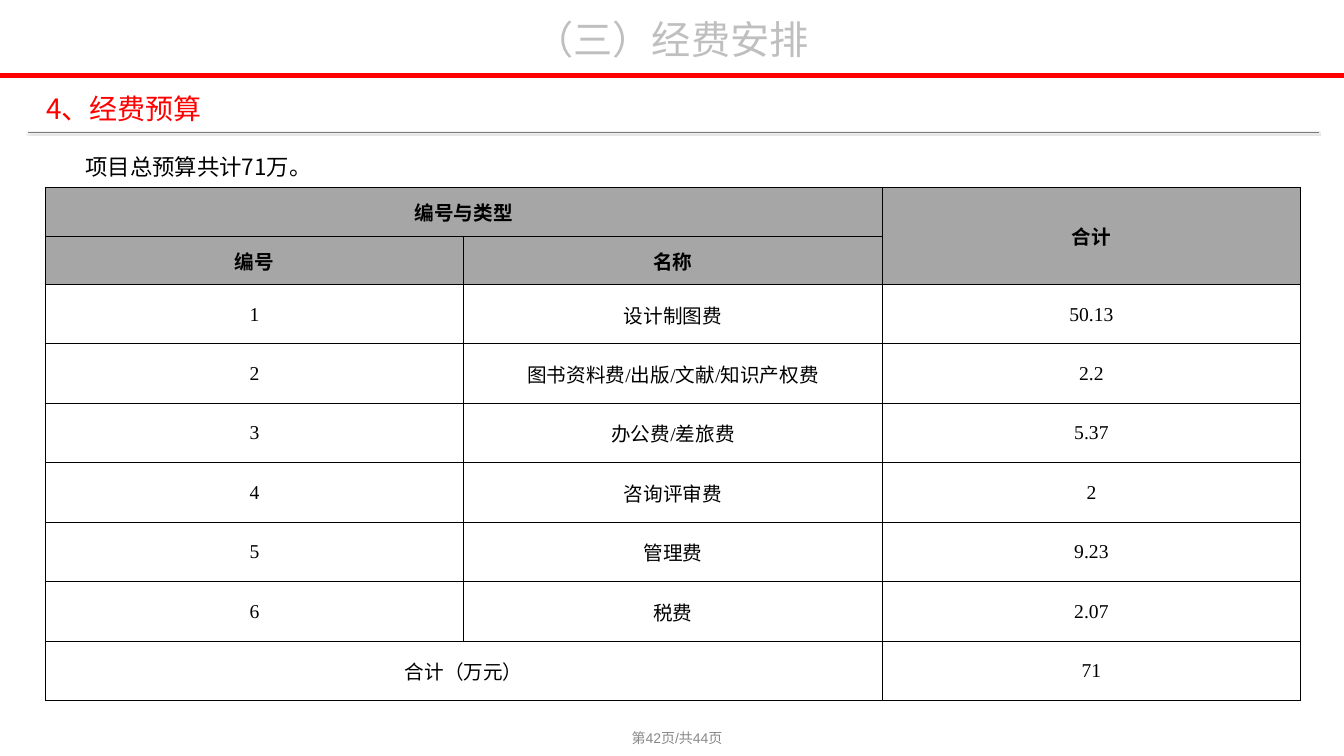
from lxml import etree
from pptx import Presentation
from pptx.dml.color import RGBColor
from pptx.enum.shapes import MSO_CONNECTOR
from pptx.enum.text import MSO_ANCHOR, PP_ALIGN
from pptx.oxml import parse_xml
from pptx.oxml.ns import nsdecls, qn
from pptx.util import Inches, Pt

LEFT, CENTER = PP_ALIGN.LEFT, PP_ALIGN.CENTER
MIDDLE = MSO_ANCHOR.MIDDLE
STRAIGHT = MSO_CONNECTOR.STRAIGHT
SANS = "Noto Sans CJK SC"
COLORS = {
    "red": "FF0000", "black": "000000", "title": "BFBFBF", "footer": "898989",
    "rule": "7C7C7C", "shadow": "D9D9D9", "header": "A6A6A6",
}


def write(frame, text, size, font, color, align, bold=False):
    frame.word_wrap = True
    paragraph = frame.paragraphs[0]
    paragraph.text = text
    paragraph.alignment = align
    paragraph.font.size = Pt(size)
    paragraph.font.bold = bold
    paragraph.font.name = font
    paragraph.font.color.rgb = RGBColor.from_string(COLORS[color])
    properties = paragraph._p.pPr.find(qn("a:defRPr"))
    etree.SubElement(properties, qn("a:ea")).set("typeface", SANS)


deck = Presentation()
deck.slide_width, deck.slide_height = Inches(13.33), Inches(7.5)
page = deck.slides.add_slide(deck.slide_layouts[6])

SHADOW = (
    '<a:outerShdw blurRad="12700" dist="12700" dir="5400000">'
    f'<a:srgbClr val="{COLORS["shadow"]}"/></a:outerShdw>'
)
for left, right, y, color, width, effect in [
    (0, 13.33, 0.75, "red", 3, ""),
    (0.28, 13.08, 1.31, "rule", 0.5, SHADOW),
]:
    rule = page.shapes.add_connector(STRAIGHT, Inches(left), Inches(y), Inches(right), Inches(y))
    rule.line.color.rgb = RGBColor.from_string(COLORS[color])
    rule.line.width = Pt(width)
    rule._element.spPr.append(
        parse_xml(f'<a:effectLst {nsdecls("a")}>{effect}</a:effectLst>')
    )

for text, left, top, width, height, size, font, color, align in [
    ("（三）经费安排", 1.67, 0.1, 9.98, 0.57, 28, SANS, "title", CENTER),
    ("4、经费预算", 0.36, 0.85, 12.63, 0.44, 20, SANS, "red", LEFT),
    ("项目总预算共计71万。", 0.75, 1.46, 10.33, 0.38, 16, SANS, "black", LEFT),
    ("第42页/共44页", 0.05, 7.15, 13.33, 0.35, 10, "Arial", "footer", CENTER),
]:
    box = page.shapes.add_textbox(Inches(left), Inches(top), Inches(width), Inches(height))
    box.text_frame.vertical_anchor = MIDDLE
    write(box.text_frame, text, size, font, color, align)

budget_rows = [
    ("编号与类型", "", "合计"),
    ("编号", "名称", ""),
    ("1", "设计制图费", "50.13"),
    ("2", "图书资料费/出版/文献/知识产权费", "2.2"),
    ("3", "办公费/差旅费", "5.37"),
    ("4", "咨询评审费", "2"),
    ("5", "管理费", "9.23"),
    ("6", "税费", "2.07"),
    ("合计（万元）", "", "71"),
]
HEADER_ROWS = 2
budget = page.shapes.add_table(
    len(budget_rows), 3, Inches(0.45), Inches(1.86), Inches(12.44), Inches(5.09)
).table
budget.first_row = budget.horz_banding = False
for column in budget.columns:
    column.width = Inches(4.15)

for row, values in enumerate(budget_rows):
    is_header = row < HEADER_ROWS
    budget.rows[row].height = Inches(0.48 if is_header else 0.59)
    for column, value in enumerate(values):
        cell = budget.cell(row, column)
        cell.vertical_anchor = MIDDLE
        cell.margin_left = cell.margin_right = cell.margin_top = Inches(0.01)
        cell.margin_bottom = 0
        for side in ("lnL", "lnR", "lnT", "lnB"):
            cell._tc.get_or_add_tcPr().append(parse_xml(
                f'<a:{side} {nsdecls("a")} w="6350"><a:solidFill>'
                f'<a:srgbClr val="{COLORS["black"]}"/></a:solidFill></a:{side}>'
            ))
        if is_header:
            cell.fill.solid()
            cell.fill.fore_color.rgb = RGBColor.from_string(COLORS["header"])
        else:
            cell.fill.background()
        if value:
            write(cell.text_frame, value, 14, "Times New Roman", "black", CENTER, is_header)

for top, left, bottom, right in [(0, 0, 0, 1), (0, 2, 1, 2), (8, 0, 8, 1)]:
    budget.cell(top, left).merge(budget.cell(bottom, right))

deck.save("out.pptx")
